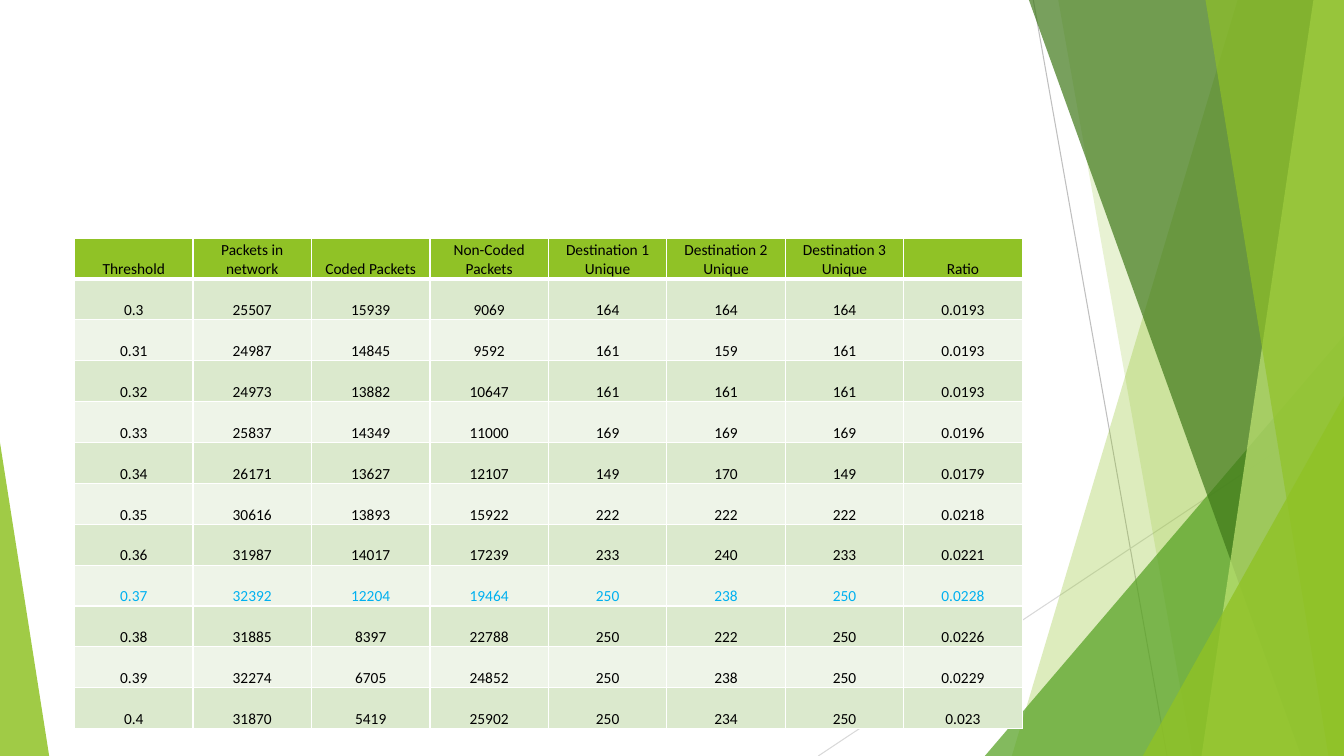
from lxml import etree
from pptx import Presentation
from pptx.dml.color import RGBColor
from pptx.enum import shapes, text
from pptx.oxml import ns
from pptx.util import Cm, Pt

HEADINGS = ["Threshold", "Packets in network", "Coded Packets", "Non-Coded Packets",
            "Destination 1 Unique", "Destination 2 Unique", "Destination 3 Unique", "Ratio"]
RESULTS = [
    ("0.3", "25507", "15939", "9069", "164", "164", "164", "0.0193"),
    ("0.31", "24987", "14845", "9592", "161", "159", "161", "0.0193"),
    ("0.32", "24973", "13882", "10647", "161", "161", "161", "0.0193"),
    ("0.33", "25837", "14349", "11000", "169", "169", "169", "0.0196"),
    ("0.34", "26171", "13627", "12107", "149", "170", "149", "0.0179"),
    ("0.35", "30616", "13893", "15922", "222", "222", "222", "0.0218"),
    ("0.36", "31987", "14017", "17239", "233", "240", "233", "0.0221"),
    ("0.37", "32392", "12204", "19464", "250", "238", "250", "0.0228"),
    ("0.38", "31885", "8397", "22788", "250", "222", "250", "0.0226"),
    ("0.39", "32274", "6705", "24852", "250", "238", "250", "0.0229"),
    ("0.4", "31870", "5419", "25902", "250", "234", "250", "0.023"),
]
BEST_THRESHOLD = "0.37"

COLORS = {"lime": "90C226", "green": "54A021", "forest": "3F7819", "pale": "C0E474",
          "odd": "DBE9CD", "even": "EEF4E8", "text": "000000", "best": "00B0F0",
          "border": "FFFFFF", "gray": "BFBFBF", "light": "D9D9D9"}

WIDTH, HEIGHT = 33.87, 19.05
RAYS = [((26.04, 0), (29.41, HEIGHT), "gray"), ((WIDTH, 10.24), (20.62, HEIGHT), "light")]
FACETS = [
    ("band", (31.19, 25.5), "lime", 30),
    ("band", (26.67, 30.05), "lime", 20),
    ("peak", (24.82, 8.46, WIDTH, 1), "green", 72),
    ("band", (25.93, 32.79), "forest", 70),
    ("band", (33.1, 30.28), "pale", 70),
    ("band", (30.38, 33.48), "lime", 65),
    ("peak", (28.8, 9.98, WIDTH, 1), "lime", 80),
    ("peak", (0, 11.15, 1.24, 0), "lime", 85),
]
TABLE_LEFT, TABLE_TOP, COLUMN_WIDTH, ROW_HEIGHT = 1.88, 6, 2.985, 1.03
CELL_FORMAT = {"vertical_anchor": text.MSO_ANCHOR.BOTTOM, "margin_left": Cm(0.02),
               "margin_right": Cm(0.02), "margin_top": Cm(0.02), "margin_bottom": 0}
FONT_FORMAT = {"name": "Calibri", "size": Pt(11), "bold": False}


def rgb(key):
    return RGBColor.from_string(COLORS[key])


def apply(target, formats):
    for attribute, value in formats.items():
        setattr(target, attribute, value)


def add_ray(slide, start, end, color):
    ray = slide.shapes.add_connector(shapes.MSO_CONNECTOR.STRAIGHT,
                                     *(Cm(v) for v in start + end))
    ray.line.color.rgb = rgb(color)
    ray.line.width = Pt(0.75)
    etree.SubElement(ray._element.spPr, ns.qn("a:effectLst"))


def add_facet(slide, kind, place, color, opacity):
    if kind == "band":
        top_x, bottom_x = place
        outline = slide.shapes.build_freeform(Cm(top_x), 0)
        corners = [(WIDTH, 0), (WIDTH, HEIGHT), (bottom_x, HEIGHT)]
        outline.add_line_segments([(Cm(x), Cm(y)) for x, y in corners], close=True)
        facet = outline.convert_to_shape()
    else:
        left, top, right, apex = place
        facet = slide.shapes.add_shape(shapes.MSO_SHAPE.ISOSCELES_TRIANGLE, Cm(left), Cm(top),
                                       Cm(right - left), Cm(HEIGHT - top))
        facet.adjustments[0] = apex
    facet.shadow.inherit = False
    facet.line.fill.background()
    facet.fill.solid()
    facet.fill.fore_color.rgb = rgb(color)
    tint = facet._element.spPr.find(".//" + ns.qn("a:srgbClr"))
    etree.SubElement(tint, ns.qn("a:alpha"), val=str(opacity * 1000))


def add_borders(cell, row):
    properties = cell._tc.get_or_add_tcPr()
    widths = {"lnL": 1, "lnR": 1, "lnT": 3 if row == 1 else 1, "lnB": 3 if row == 0 else 1}
    for position, (side, width) in enumerate(widths.items()):
        border = etree.Element(ns.qn("a:" + side), w=str(Pt(width)))
        fill = etree.SubElement(border, ns.qn("a:solidFill"))
        etree.SubElement(fill, ns.qn("a:srgbClr"), val=COLORS["border"])
        properties.insert(position, border)


def add_results(slide):
    rows = [HEADINGS, *RESULTS]
    results = slide.shapes.add_table(
        len(rows), len(HEADINGS), Cm(TABLE_LEFT), Cm(TABLE_TOP),
        Cm(COLUMN_WIDTH * len(HEADINGS)), Cm(ROW_HEIGHT * len(rows))).table
    for column in results.columns:
        column.width = Cm(COLUMN_WIDTH)
    for row, values in enumerate(rows):
        results.rows[row].height = Cm(ROW_HEIGHT)
        background = "lime" if row == 0 else ("even", "odd")[row % 2]
        ink = "best" if values[0] == BEST_THRESHOLD else "text"
        for column, value in enumerate(values):
            cell = results.cell(row, column)
            cell.text = value
            apply(cell, CELL_FORMAT)
            cell.fill.solid()
            cell.fill.fore_color.rgb = rgb(background)
            add_borders(cell, row)
            paragraph = cell.text_frame.paragraphs[0]
            paragraph.alignment = text.PP_ALIGN.CENTER
            font = paragraph.runs[0].font
            apply(font, FONT_FORMAT)
            font.color.rgb = rgb(ink)


def main():
    deck = Presentation()
    deck.slide_width, deck.slide_height = Cm(WIDTH), Cm(HEIGHT)
    slide = deck.slides.add_slide(deck.slide_layouts[6])
    for ray in RAYS:
        add_ray(slide, *ray)
    for facet in FACETS:
        add_facet(slide, *facet)
    add_results(slide)
    deck.save("out.pptx")


if __name__ == "__main__":
    main()
